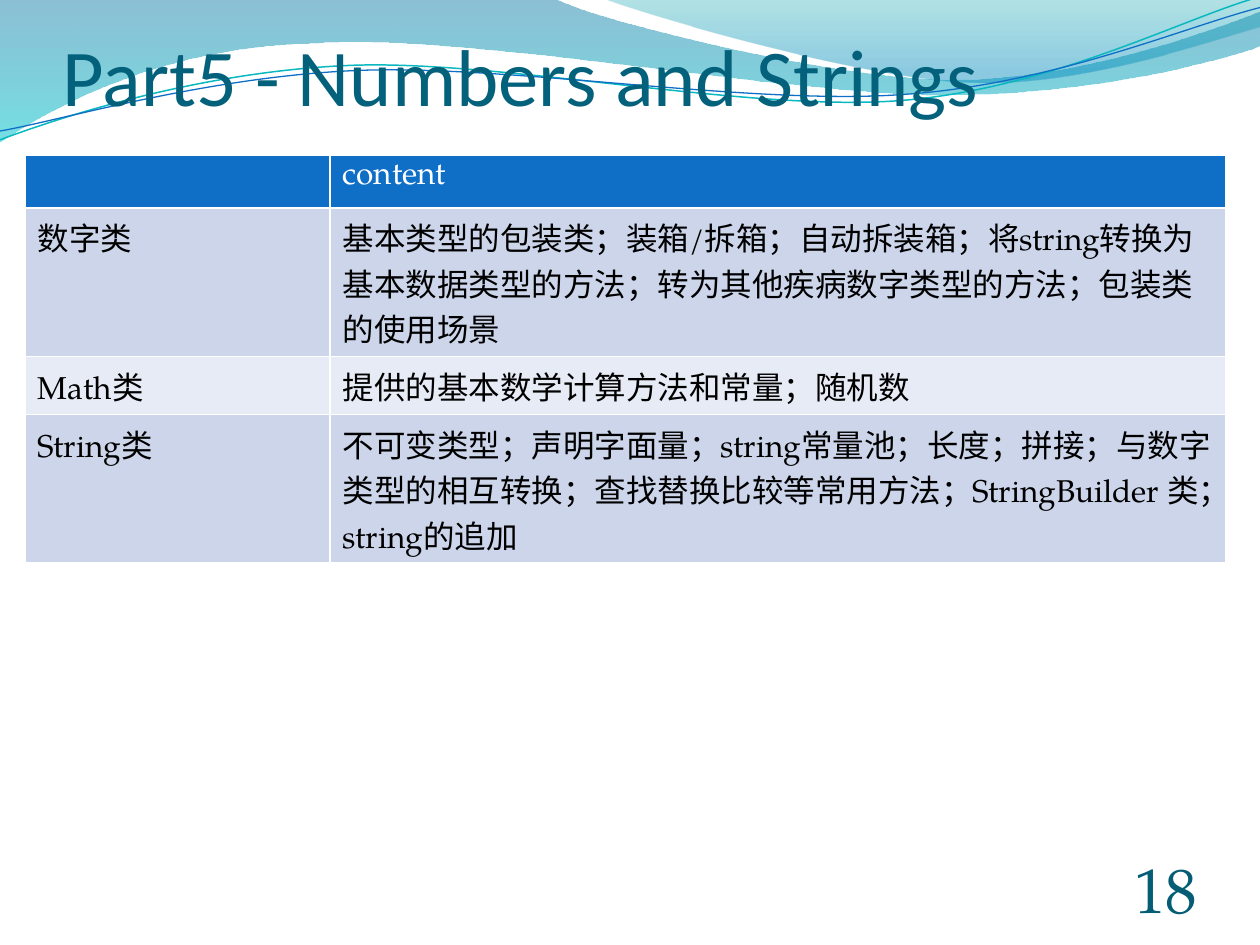
import pptx
import pptx.dml.color
import pptx.enum.text
import pptx.oxml
import pptx.oxml.ns
import pptx.util
from pptx.util import Inches

RGBColor = pptx.dml.color.RGBColor
WHITE = RGBColor(0xFF, 0xFF, 0xFF)
BLACK = RGBColor(0, 0, 0)
BLUE = RGBColor(0x0F, 0x6F, 0xC6)
TEAL = RGBColor(0x0A, 0xB8, 0xBF)
TITLE_COLOR = RGBColor(0x04, 0x61, 0x7B)
NUMBER_COLOR = RGBColor(0x04, 0x5D, 0x75)
BAND_DARK = RGBColor(0xCC, 0xD5, 0xEA)
BAND_LIGHT = RGBColor(0xE7, 0xEB, 0xF5)
BODY_FONT = "TeX Gyre Pagella"

# Waves: start point, then straight (2 numbers) or cubic (6 numbers) segments;
# gradient stops are position, colour, opacity in percent
WAVES = [
    ((0, 0),
     [(4.4, -0.01), (4.76, 0.17, 6.64, 0.63, 7.58, 0.63),
      (8.53, 0.63, 9.58, 0.26, 10, 0.09), (10.01, 0.36),
      (9.83, 0.44, 8.7, 0.76, 7.46, 0.75), (6.22, 0.75, 3.82, 0.28, 2.57, 0.34),
      (1.29, 0.36, 0.46, 0.83, -0.01, 1.13), (0, 0)],
     [(0, RGBColor(0x00, 0x74, 0xA1), 45), (1, RGBColor(0x00, 0xC6, 0xCF), 55)]),
    ((4.79, -0.01),
     [(5.09, 0.11, 6.82, 0.62, 7.69, 0.65), (8.56, 0.69, 9.61, 0.32, 10, 0.21),
      (10, 0), (4.79, -0.01)],
     [(0, RGBColor(0x00, 0xA1, 0xA9), 30), (0.8, RGBColor(0x00, 0x8B, 0xBF), 45)]),
]
WAVE_LINES = [
    ((0, 1.11),
     [(0.48, 0.93, 1.58, 0.57, 2.77, 0.52), (3.95, 0.47, 5.93, 0.89, 7.13, 0.8),
      (8.33, 0.71, 9.38, 0.15, 9.98, -0.02)], TEAL, 0.85),
    ((0, 1.04),
     [(0.47, 0.96, 1.64, 0.61, 2.83, 0.56), (4.03, 0.51, 5.97, 0.84, 7.17, 0.75),
      (8.36, 0.67, 9.41, 0.21, 10, 0.06)], BLUE, 0.75),
]

COL_WIDTHS = (2.42, 7.11)
ROWS = [  # height, cell texts
    (0.42, ("", "content")),
    (1.18, ("数字类", "基本类型的包装类；装箱/拆箱；自动拆装箱；将string转换为基本数据类型的方法；"
            "转为其他疾病数字类型的方法；包装类的使用场景")),
    (0.46, ("Math类", "提供的基本数学计算方法和常量；随机数")),
    (1.18, ("String类", "不可变类型；声明字面量；string常量池；长度；拼接；与数字类型的相互转换；"
            "查找替换比较等常用方法；StringBuilder 类；string的追加")),
]


def add_outline(slide, start, segments, close):
    """Lay out all points as lines, then join each cubic's three into a curve."""
    points = [(Inches(x), Inches(y)) for seg in segments
              for x, y in zip(seg[::2], seg[1::2])]
    builder = slide.shapes.build_freeform(Inches(start[0]), Inches(start[1]))
    builder.add_line_segments(points, close=close)
    s = builder.convert_to_shape()
    s.shadow.inherit = False
    lines = iter(list(s._element.spPr.iter(pptx.oxml.ns.qn("a:lnTo"))))
    for seg in segments:
        first = next(lines)
        if len(seg) == 6:
            first.tag = pptx.oxml.ns.qn("a:cubicBezTo")
            for _ in range(2):
                line = next(lines)
                first.append(line[0])
                line.getparent().remove(line)
    return s


def add_wave(slide, start, segments, stops):
    s = add_outline(slide, start, segments, True)
    s.line.fill.background()
    s.fill.gradient()
    s.fill.gradient_angle = 270
    for stop, (position, color, _) in zip(s.fill.gradient_stops, stops):
        stop.position = position
        stop.color.rgb = color
    colors = s._element.spPr.iter(pptx.oxml.ns.qn("a:srgbClr"))
    for clr, (_, _, opacity) in zip(colors, stops):
        clr.append(pptx.oxml.parse_xml(
            f'<a:alpha {pptx.oxml.ns.nsdecls("a")} val="{opacity * 1000}"/>'))


def add_wave_line(slide, start, segments, color, width):
    s = add_outline(slide, start, segments, False)
    s.fill.background()
    s.line.color.rgb = color
    s.line.width = pptx.util.Pt(width)


def write(p, text, size, font, color):
    r = p.add_run()
    r.text = text
    for name, value in {"size": pptx.util.Pt(size), "name": font, "bold": False}.items():
        setattr(r.font, name, value)
    r.font.color.rgb = color


def add_text(slide, box, text, size, font, color, align, margin_top=0):
    tf = slide.shapes.add_textbox(*map(Inches, box)).text_frame
    frame = {"word_wrap": True, "vertical_anchor": pptx.enum.text.MSO_ANCHOR.BOTTOM,
             "margin_left": 0, "margin_top": Inches(margin_top), "margin_right": 0,
             "margin_bottom": 0}
    for name, value in frame.items():
        setattr(tf, name, value)
    p = tf.paragraphs[0]
    p.alignment = align
    write(p, text, size, font, color)


def add_content_table(slide):
    heights = [height for height, _ in ROWS]
    box = (0.2, 1.23, sum(COL_WIDTHS), sum(heights))
    table = slide.shapes.add_table(len(ROWS), len(COL_WIDTHS), *map(Inches, box)).table
    for column, width in zip(table.columns, COL_WIDTHS):
        column.width = Inches(width)
    for i, (height, texts) in enumerate(ROWS):
        table.rows[i].height = Inches(height)
        header = i == 0
        band = BAND_DARK if i % 2 else BAND_LIGHT
        for j, text in enumerate(texts):
            cell = table.cell(i, j)
            cell.fill.solid()
            cell.fill.fore_color.rgb = BLUE if header else band
            if text:
                write(cell.text_frame.paragraphs[0], text, 18, BODY_FONT,
                      WHITE if header else BLACK)


def main():
    prs = pptx.Presentation()
    prs.slide_width, prs.slide_height = Inches(10), Inches(7.5)
    slide = prs.slides.add_slide(prs.slide_layouts[6])

    # Wave decoration
    for wave in WAVES:
        add_wave(slide, *wave)
    for wave_line in WAVE_LINES:
        add_wave_line(slide, *wave_line)

    # Title, slide number and table
    align = pptx.enum.text.PP_ALIGN
    add_text(slide, (0.5, 0.15, 9, 0.82), "Part5 - Numbers and Strings",
             46, "Calibri", TITLE_COLOR, align.LEFT, 0.05)
    add_text(slide, (8.67, 6.95, 0.83, 0.4), "18",
             36, BODY_FONT, NUMBER_COLOR, align.RIGHT)
    add_content_table(slide)

    prs.save("out.pptx")


if __name__ == "__main__":
    main()
